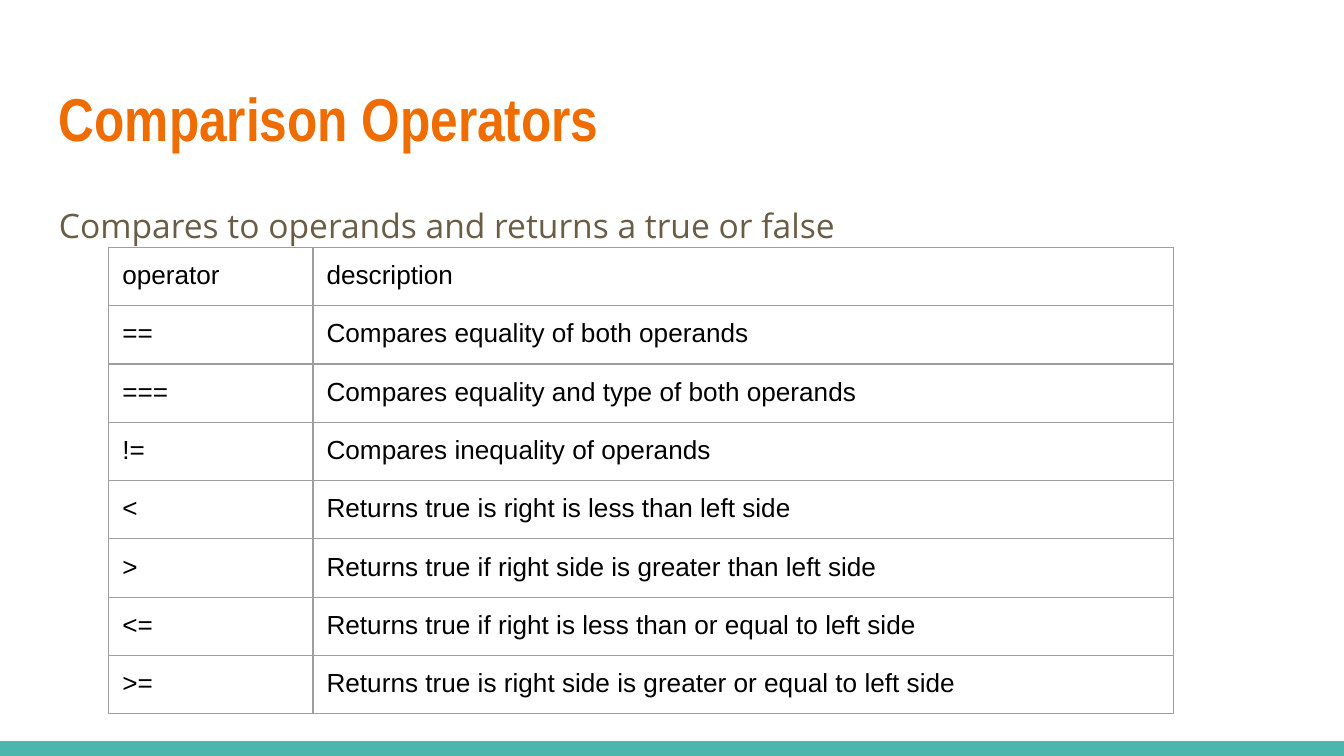
from typing import NamedTuple

from lxml import etree
from pptx import Presentation
from pptx.dml.color import RGBColor
from pptx.enum import shapes, text
from pptx.oxml import ns
from pptx.util import Inches, Pt

WHITE = RGBColor(0xFF, 0xFF, 0xFF)
BLACK = RGBColor(0x00, 0x00, 0x00)
TEAL = RGBColor(0x4D, 0xB6, 0xAC)
ORANGE = RGBColor(0xEF, 0x6C, 0x00)
BROWN = RGBColor(0x69, 0x5D, 0x46)
GRAY = RGBColor(0x9E, 0x9E, 0x9E)

SLIDE_WIDTH = Inches(10)
SLIDE_HEIGHT = SLIDE_WIDTH * 9 // 16
BAR_HEIGHT = Inches(0.11)
PADDING = Inches(0.1)
TABLE_SIZE = Inches(3.28)
HEADER_HEIGHT = Inches(0.11)
ROW_HEIGHT = Inches(0.42)
COLUMN_WIDTHS = (Inches(1.52), Inches(6.4))


class Style(NamedTuple):
    font: str
    size: float
    color: RGBColor
    bold: bool = False


class Operator(NamedTuple):
    symbol: str
    description: str


TITLE = Style("Arial Narrow", 32.4, ORANGE, True)
BODY = Style("Open Sans", 18, BROWN)
CELL = Style("Arial", 14, BLACK)

ROWS = (
    Operator("operator", "description"),
    Operator("==", "Compares equality of both operands"),
    Operator("===", "Compares equality and type of both operands"),
    Operator("!=", "Compares inequality of operands"),
    Operator("<", "Returns true is right is less than left side"),
    Operator(">", "Returns true if right side is greater than left side"),
    Operator("<=", "Returns true if right is less than or equal to left side"),
    Operator(">=", "Returns true is right side is greater or equal to left side"),
)


def add_span(para, words: str, style: Style) -> None:
    span = para.add_run()
    span.text = words
    span.font.name = style.font
    span.font.size = Pt(style.size)
    span.font.bold = style.bold
    span.font.color.rgb = style.color


def set_padding(holder) -> None:
    holder.margin_left = holder.margin_right = PADDING
    holder.margin_top = holder.margin_bottom = PADDING


def add_text(page, top: float, height: float, words: str, style: Style, anchor):
    box = page.shapes.add_textbox(
        Inches(0.34), Inches(top), Inches(9.32), Inches(height)
    )
    frame = box.text_frame
    frame.word_wrap = True
    frame.vertical_anchor = anchor
    set_padding(frame)
    para = frame.paragraphs[0]
    add_span(para, words, style)
    return para


def add_borders(cell) -> None:
    properties = cell._tc.get_or_add_tcPr()
    for position, side in enumerate(("lnL", "lnR", "lnT", "lnB")):
        line = etree.Element(ns.qn(f"a:{side}"), w=str(Pt(0.75)))
        fill = etree.SubElement(line, ns.qn("a:solidFill"))
        etree.SubElement(fill, ns.qn("a:srgbClr"), val=str(GRAY))
        properties.insert(position, line)


def add_operator_table(page) -> None:
    frame = page.shapes.add_table(
        len(ROWS), len(COLUMN_WIDTHS), Inches(0.81), Inches(1.84),
        TABLE_SIZE, TABLE_SIZE,
    )
    table = frame.table
    table.first_row = table.horz_banding = False
    for column, width in zip(table.columns, COLUMN_WIDTHS):
        column.width = width
    for index, (row, operator) in enumerate(zip(table.rows, ROWS)):
        row.height = ROW_HEIGHT if index else HEADER_HEIGHT
        for cell, words in zip(row.cells, operator):
            cell.fill.background()
            set_padding(cell)
            add_span(cell.text_frame.paragraphs[0], words, CELL)
            add_borders(cell)
    frame.width = frame.height = TABLE_SIZE


def add_footer_bar(page) -> None:
    bar = page.shapes.add_shape(
        shapes.MSO_SHAPE.RECTANGLE,
        0, SLIDE_HEIGHT - BAR_HEIGHT, SLIDE_WIDTH, BAR_HEIGHT,
    )
    bar.shadow.inherit = False
    bar.fill.solid()
    bar.fill.fore_color.rgb = TEAL
    bar.line.fill.background()


def main() -> None:
    deck = Presentation()
    deck.slide_width = SLIDE_WIDTH
    deck.slide_height = SLIDE_HEIGHT
    page = deck.slides.add_slide(deck.slide_layouts[6])
    page.background.fill.solid()
    page.background.fill.fore_color.rgb = WHITE

    add_footer_bar(page)
    add_text(page, 0.49, 0.77, "Comparison Operators", TITLE, text.MSO_ANCHOR.MIDDLE)
    para = add_text(
        page, 1.38, 3.61, "Compares to operands and returns a true or false",
        BODY, text.MSO_ANCHOR.TOP,
    )
    para.line_spacing = 1.15
    para.space_after = Pt(12)
    add_operator_table(page)
    deck.save("out.pptx")


if __name__ == "__main__":
    main()
